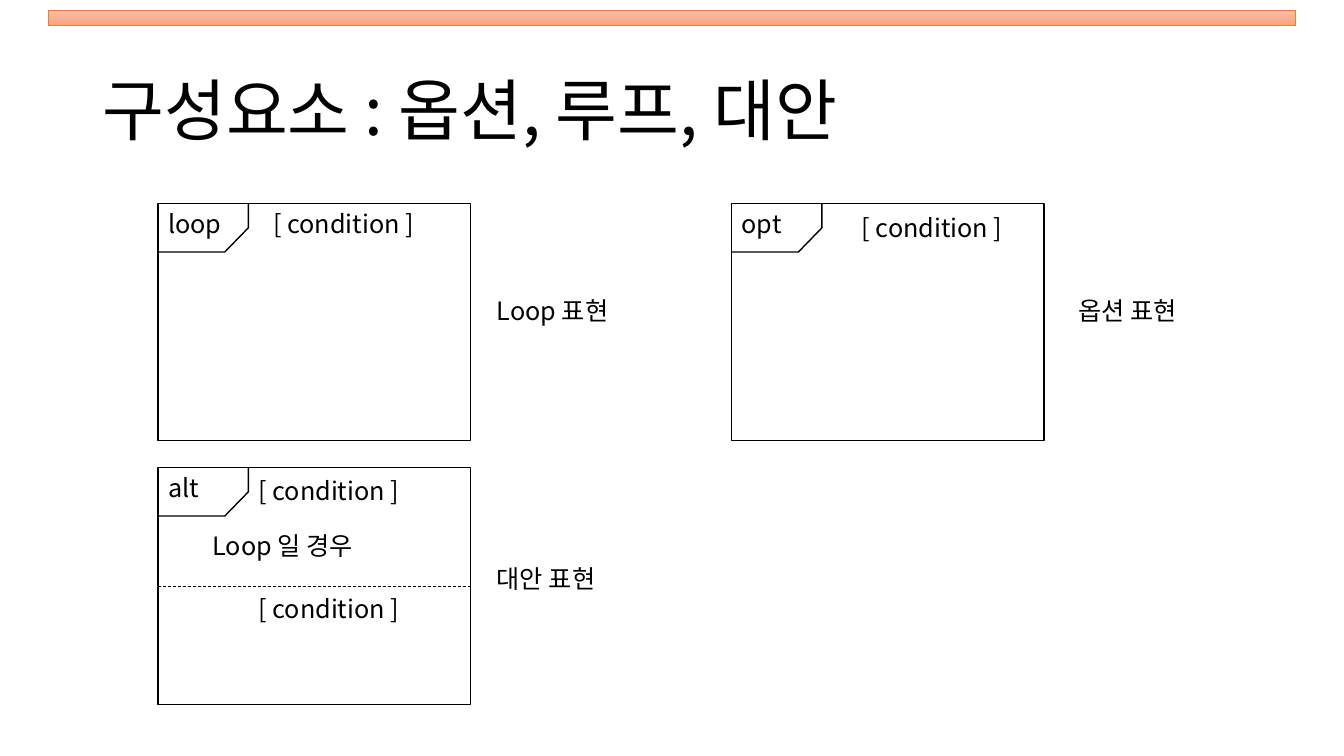
import pptx
import pptx.dml.color
import pptx.enum.dml
import pptx.enum.shapes
import pptx.enum.text
import pptx.oxml
import pptx.oxml.ns
import pptx.util

Pt = pptx.util.Pt
MSO_SHAPE = pptx.enum.shapes.MSO_SHAPE
AUTO_SIZE = pptx.enum.text.MSO_AUTO_SIZE
FONT = "Noto Sans CJK KR"
COLORS = {"ink": "000000", "bar_top": "F7BDA5", "bar_bottom": "F8A582", "bar_edge": "ED7D31"}
FRAME_W, FRAME_H = 223.2, 169.2
COL_1, COL_2 = 113, 522.7
ROW_1, ROW_2 = 145.5, 334.1
LABEL_W, LABEL_H = 162.7, 29.1
CONDITION_W = 116


def rgb(name):
    """Return the named colour."""
    return pptx.dml.color.RGBColor.from_string(COLORS[name])


def write(tf, text, size=18, wrap=True, fit=AUTO_SIZE.SHAPE_TO_FIT_TEXT, spacing=None):
    """Put one left-aligned paragraph into a text frame."""
    tf.word_wrap = wrap
    tf.auto_size = fit
    p = tf.paragraphs[0]
    p.alignment = pptx.enum.text.PP_ALIGN.LEFT
    p.line_spacing = spacing
    r = p.add_run()
    r.text = text
    r.font.size = Pt(size)
    r.font.name = FONT
    r.font.color.rgb = rgb("ink")
    ea = pptx.oxml.parse_xml(f'<a:ea {pptx.oxml.ns.nsdecls("a")} typeface="{FONT}"/>')
    r.font._element.find(pptx.oxml.ns.qn("a:latin")).addnext(ea)


def add_label(shapes, text, x, y, w=LABEL_W, **fmt):
    """Add a text box."""
    write(shapes.add_textbox(Pt(x), Pt(y), Pt(w), Pt(LABEL_H)).text_frame, text, **fmt)


def outline(sp, color="ink", width=1):
    """Draw the outline of a shape without a shadow."""
    sp.shadow.inherit = False
    sp.line.color.rgb = rgb(color)
    sp.line.width = Pt(width)


def add_frame(s, keyword, x, y):
    """Add a grouped fragment frame with its keyword tab and return the rectangle."""
    group = s.shapes.add_group_shape()
    box = group.shapes.add_shape(MSO_SHAPE.RECTANGLE, Pt(x), Pt(y), Pt(FRAME_W), Pt(FRAME_H))
    builder = group.shapes.build_freeform(Pt(x), Pt(y + 34.5))
    corners = [(47.6, 34.5), (64.4, 17.25), (64.4, 0)]
    builder.add_line_segments([(Pt(x + dx), Pt(y + dy)) for dx, dy in corners], close=False)
    for sp in (box, builder.convert_to_shape()):
        sp.fill.background()
        outline(sp)
    add_label(group.shapes, keyword, x, y, 56.2)
    return box


def add_divider(s, box):
    """Add a dashed line across the middle of a frame."""
    line = s.shapes.add_connector(pptx.enum.shapes.MSO_CONNECTOR.STRAIGHT, 0, 0, 0, 0)
    line.begin_connect(box, 1)
    line.end_connect(box, 3)
    line.line.color.rgb = rgb("ink")
    line.line.width = Pt(0.5)
    line.line.dash_style = pptx.enum.dml.MSO_LINE.DASH
    effects = pptx.oxml.parse_xml(f'<a:effectLst {pptx.oxml.ns.nsdecls("a")}/>')
    line._element.spPr.append(effects)


def add_bar(s):
    """Add the gradient bar along the top edge."""
    sp = s.shapes.add_shape(MSO_SHAPE.RECTANGLE, Pt(34.2), Pt(7.7), Pt(891.4), Pt(10.4))
    sp.fill.gradient()
    sp.fill.gradient_angle = 270
    for stop, name in zip(sp.fill.gradient_stops, ("bar_top", "bar_bottom")):
        stop.color.rgb = rgb(name)
    outline(sp, "bar_edge", 0.5)


def add_title(s, text):
    """Place and format the title placeholder."""
    title = s.shapes.title
    title.left, title.top, title.width, title.height = Pt(66), Pt(28.8), Pt(828), Pt(104.4)
    title.text_frame.vertical_anchor = pptx.enum.text.MSO_ANCHOR.MIDDLE
    write(title.text_frame, text, size=48, fit=AUTO_SIZE.NONE, spacing=0.9)


def main():
    """Build the slide."""
    prs = pptx.Presentation()
    prs.slide_width, prs.slide_height = Pt(960), Pt(540)
    s = prs.slides.add_slide(prs.slide_layouts[5])
    add_title(s, "구성요소 : 옵션, 루프, 대안")

    add_frame(s, "loop", COL_1, ROW_1)
    add_divider(s, add_frame(s, "alt", COL_1, ROW_2))
    add_frame(s, "opt", COL_2, ROW_1)

    for x, y in [(188, ROW_1), (177.5, 336.2), (177.5, 420.5), (608.4, 148.4)]:
        add_label(s.shapes, "[ condition ]", x, y, CONDITION_W, wrap=False)
    for text, x, y in [
        ("Loop 표현", 347.8, 207.4),
        ("옵션 표현", 763.2, 207.4),
        ("대안 표현", 347.8, 398.9),
        ("Loop 일 경우", 144.7, 375.1),
    ]:
        add_label(s.shapes, text, x, y)
    add_bar(s)
    prs.save("out.pptx")


if __name__ == "__main__":
    main()
